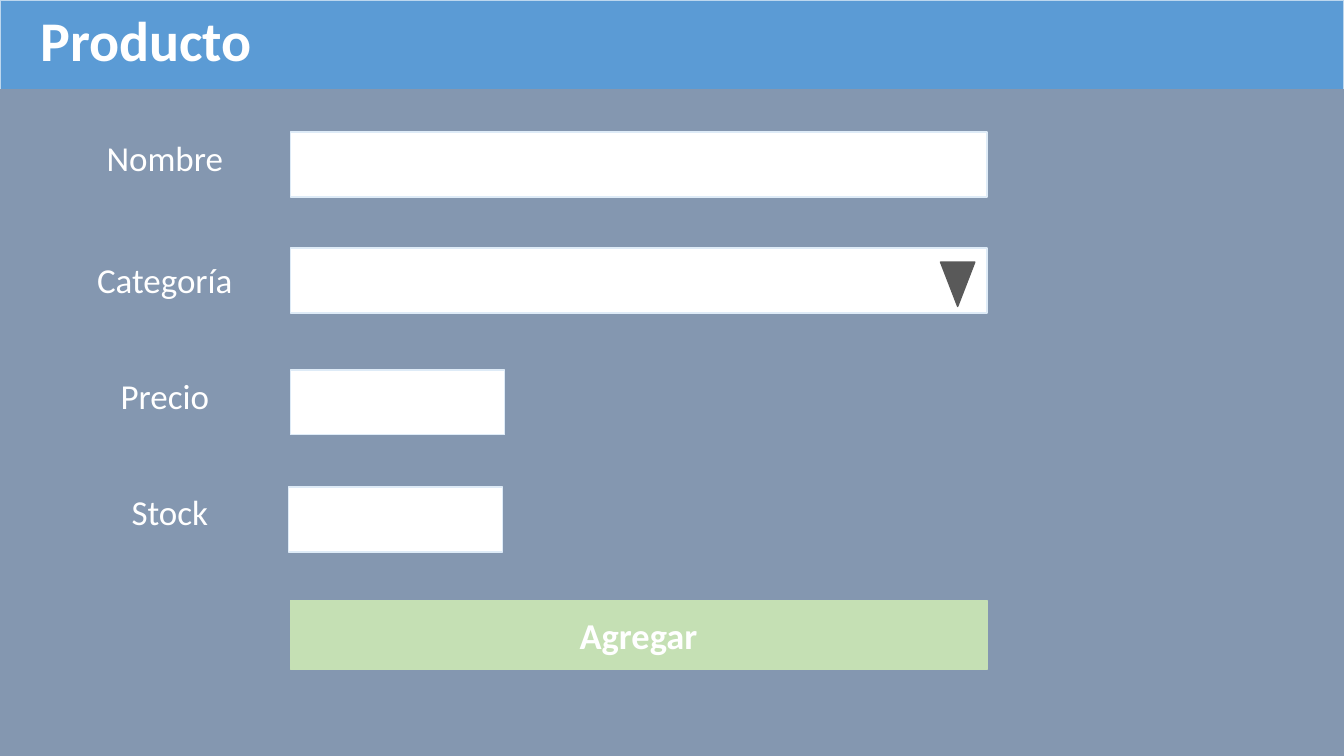
import pptx
import pptx.dml.color
import pptx.enum.shapes
import pptx.enum.text
import pptx.util

Pt = pptx.util.Pt
RGBColor = pptx.dml.color.RGBColor
MSO_SHAPE = pptx.enum.shapes.MSO_SHAPE
PP_ALIGN = pptx.enum.text.PP_ALIGN
MSO_ANCHOR = pptx.enum.text.MSO_ANCHOR

WHITE = RGBColor(0xFF, 0xFF, 0xFF)
BLUE = RGBColor(0x5B, 0x9B, 0xD5)
LIGHT_BLUE = RGBColor(0xBD, 0xD7, 0xEE)
PALE_BLUE = RGBColor(0xDE, 0xEB, 0xF7)
SLATE = RGBColor(0x84, 0x97, 0xB0)
GREEN = RGBColor(0xC5, 0xE0, 0xB4)
GRAY = RGBColor(0x59, 0x59, 0x59)

SLIDE_WIDTH, SLIDE_HEIGHT = 960, 540
HEADER_HEIGHT = 64
TITLE = "Producto"
BUTTON = "Agregar"
FIELD_LEFT, FIELD_HEIGHT = 207.4, 46.4
WIDE, NARROW = 497.5, 153
LABEL_HEIGHT = 37.4

# label, label centre, label width, label top, field left, field top, field width
FIELDS = [
    ("Nombre", 117.7, 98.6, 94.3, FIELD_LEFT, 94.3, WIDE),
    ("Categoría", 117.7, 112.3, 181.4, FIELD_LEFT, 177.1, WIDE),
    ("Precio", 117.7, 78.5, 264.2, FIELD_LEFT, 264.2, NARROW),
    ("Stock", 121.3, 69.8, 347, 205.9, 347.8, NARROW),
]


def place(shape, left, top, width, height):
    shape.left, shape.top = Pt(left), Pt(top)
    shape.width, shape.height = Pt(width), Pt(height)


def add_box(slide, left, top, width, height, fill, line, kind=MSO_SHAPE.RECTANGLE):
    shape = slide.shapes.add_shape(kind, Pt(left), Pt(top), Pt(width), Pt(height))
    shape.shadow.inherit = False
    shape.fill.solid()
    shape.fill.fore_color.rgb = fill
    shape.line.color.rgb = line
    shape.line.width = Pt(1)
    return shape


def write(shape, text, size, bold=False, anchor=MSO_ANCHOR.TOP):
    frame = shape.text_frame
    frame.word_wrap = False
    frame.auto_size = pptx.enum.text.MSO_AUTO_SIZE.NONE
    frame.vertical_anchor = anchor
    frame.margin_left = frame.margin_right = Pt(7.2)
    frame.margin_top = frame.margin_bottom = Pt(3.6)
    paragraph = frame.paragraphs[0]
    paragraph.alignment = PP_ALIGN.CENTER
    paragraph.line_spacing = 1.0
    run = paragraph.add_run()
    run.text = text
    run.font.name = "Calibri"
    run.font.size = Pt(size)
    run.font.bold = bold
    run.font.color.rgb = WHITE


def main():
    presentation = pptx.Presentation()
    presentation.slide_width = Pt(SLIDE_WIDTH)
    presentation.slide_height = Pt(SLIDE_HEIGHT)
    slide = presentation.slides.add_slide(presentation.slide_layouts[5])

    add_box(slide, 0, 0, SLIDE_WIDTH, SLIDE_HEIGHT, BLUE, LIGHT_BLUE)
    add_box(slide, 0, HEADER_HEIGHT, SLIDE_WIDTH, SLIDE_HEIGHT - HEADER_HEIGHT,
            SLATE, SLATE)

    title = slide.shapes.title
    title.element.getparent().append(title.element)  # bring in front of the header
    place(title, 20.9, 0, 167, 55.4)
    write(title, TITLE, 40, bold=True)

    for label, centre, label_width, label_top, left, top, width in FIELDS:
        text_box = slide.shapes.add_textbox(
            Pt(centre - label_width / 2), Pt(label_top), Pt(label_width), Pt(LABEL_HEIGHT))
        write(text_box, label, 25)
        add_box(slide, left, top, width, FIELD_HEIGHT, WHITE, PALE_BLUE)

    dropdown_arrow = add_box(slide, 671.8, 187.2, 24.5, 31.7, GRAY, GRAY,
                             MSO_SHAPE.ISOSCELES_TRIANGLE)
    dropdown_arrow.rotation = 180

    button = add_box(slide, FIELD_LEFT, 429.1, WIDE, 49, GREEN, GREEN)
    write(button, BUTTON, 26, bold=True, anchor=MSO_ANCHOR.MIDDLE)

    presentation.save("out.pptx")


if __name__ == "__main__":
    main()
